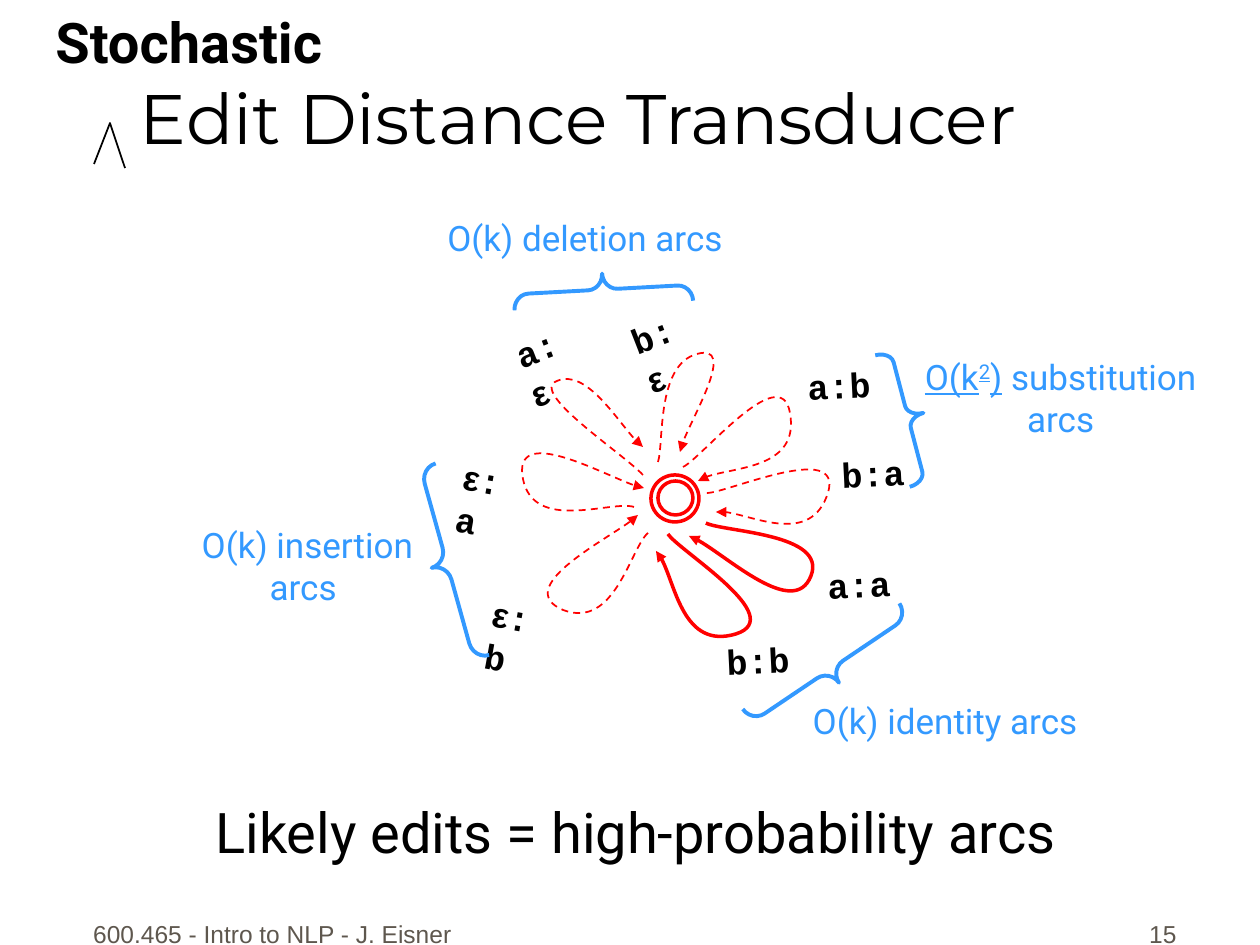
from dataclasses import dataclass

from lxml import etree
from pptx import Presentation
from pptx import util as u
from pptx.dml.color import RGBColor
from pptx.enum import dml, shapes, text
from pptx.oxml import ns

EMU_PER_PX = u.Inches(1) / 126
Point = tuple[int, int]


def px(length: float) -> u.Emu:
    return u.Emu(round(length * EMU_PER_PX))


@dataclass(frozen=True)
class Theme:
    ink: RGBColor = RGBColor(0, 0, 0)
    arc: RGBColor = RGBColor(0xFF, 0, 0)
    note: RGBColor = RGBColor(0x33, 0x99, 0xFF)
    footer: RGBColor = RGBColor(0x5E, 0x57, 0x4E)
    title_font: str = "Montserrat"
    body_font: str = "Roboto"
    code_font: str = "Courier New"
    plain_font: str = "Arial"
    title_size: u.Pt = u.Pt(40)
    large_size: u.Pt = u.Pt(32)
    label_size: u.Pt = u.Pt(20)
    footer_size: u.Pt = u.Pt(14)


@dataclass(frozen=True)
class Box:
    left: int
    top: int
    width: int
    height: int
    rotation: float = 0


@dataclass(frozen=True)
class Petal:
    """Two Bezier curves; the arrowhead is at the last point."""
    points: tuple[Point, ...]
    likely: bool = False


@dataclass(frozen=True)
class ArcLabel:
    symbols: str
    box: Box


@dataclass(frozen=True)
class Span:
    text: str
    underlined: bool = False
    raised: bool = False


@dataclass(frozen=True)
class ArcGroup:
    caption: tuple[tuple[Span, ...], ...]
    caption_box: Box
    brace_box: Box


THEME = Theme()
ALIGN = text.PP_ALIGN

PETALS = [
    Petal(((683, 467), (701, 459), (781, 359), (790, 413), (800, 469), (717, 467), (698, 481))),
    Petal(((707, 493), (727, 493), (844, 440), (828, 493), (811, 546), (738, 508), (716, 512))),
    Petal(((706, 523), (723, 532), (828, 533), (811, 576), (794, 619), (714, 544), (689, 536)), True),
    Petal(((658, 462), (664, 444), (656, 365), (697, 354), (737, 343), (683, 432), (680, 452))),
    Petal(((634, 507), (611, 500), (534, 533), (523, 479), (512, 423), (624, 486), (644, 488))),
    Petal(((668, 534), (679, 551), (789, 617), (736, 634), (683, 650), (673, 568), (656, 551)), True),
    Petal(((648, 533), (630, 549), (615, 630), (563, 610), (512, 588), (625, 530), (638, 515))),
    Petal(((643, 475), (625, 455), (528, 392), (557, 381), (586, 368), (627, 436), (643, 447))),
]
STATE_RINGS = [Box(651, 475, 48, 47), Box(658, 481, 35, 34)]
ARC_LABELS = [
    ArcLabel("a:ε", Box(502, 319, 81, 54, 338.7)),
    ArcLabel("b:ε", Box(618, 305, 81, 54, 338.7)),
    ArcLabel("ε:a", Box(451, 454, 81, 54, 10.4)),
    ArcLabel("ε:b", Box(480, 591, 81, 54, 10.4)),
    ArcLabel("a:b", Box(795, 358, 89, 54, 357)),
    ArcLabel("b:a", Box(829, 446, 89, 54, 357)),
    ArcLabel("a:a", Box(815, 557, 89, 54, 357)),
    ArcLabel("b:b", Box(714, 633, 89, 54, 357)),
]
ARC_GROUPS = [
    ArcGroup(((Span("O(k) deletion arcs "),),),
             Box(428, 210, 323, 55), Box(587, 200, 32, 179, 266.9)),
    ArcGroup(((Span("O(k) insertion"),), (Span("arcs "),)),
             Box(184, 517, 247, 97), Box(431, 464, 32, 199, 164.4)),
    ArcGroup(((Span("O(k", True), Span("2", True, True), Span(")", True),
               Span(" substitution ")), (Span("arcs "),)),
             Box(905, 349, 320, 97), Box(892, 349, 32, 136, 345.3)),
    ArcGroup(((Span("O(k) identity arcs "),),),
             Box(794, 693, 311, 55), Box(814, 575, 32, 189, 56)),
]


def set_font(font, name: str, size: u.Pt, color: RGBColor, bold: bool = False) -> None:
    font.name, font.size, font.bold = name, size, bold
    font.color.rgb = color


def add_text_frame(slide, box: Box, wrap: bool = False):
    holder = slide.shapes.add_textbox(*map(px, (box.left, box.top, box.width, box.height)))
    holder.rotation = box.rotation
    frame = holder.text_frame
    frame.word_wrap = wrap
    frame.auto_size = text.MSO_AUTO_SIZE.NONE if wrap else text.MSO_AUTO_SIZE.SHAPE_TO_FIT_TEXT
    return frame


def add_line(slide, words: str, box: Box, align, bold: bool = False) -> None:
    paragraph = add_text_frame(slide, box).paragraphs[0]
    paragraph.text, paragraph.alignment = words, align
    set_font(paragraph.font, THEME.body_font, THEME.large_size, THEME.ink, bold)


def add_footer(slide, words: str, box: Box, align) -> None:
    frame = add_text_frame(slide, box, wrap=True)
    frame.vertical_anchor = text.MSO_ANCHOR.BOTTOM
    paragraph = frame.paragraphs[0]
    paragraph.text, paragraph.alignment, paragraph.space_before = words, align, u.Pt(8.8)
    set_font(paragraph.font, THEME.plain_font, THEME.footer_size, THEME.footer)


def style_outline(shape, color: RGBColor, width: float) -> None:
    shape.shadow.inherit = False
    shape.fill.background()
    shape.line.color.rgb = color
    shape.line.width = u.Pt(width)


def add_outline(slide, points: tuple[Point, ...]):
    builder = slide.shapes.build_freeform(*points[0], scale=EMU_PER_PX)
    builder.add_line_segments(points[1:], close=False)
    return builder.convert_to_shape()


def bend_segments(shape) -> None:
    """Turn each three straight segments into one cubic Bezier curve."""
    segments = list(shape._element.iter(ns.qn("a:lnTo")))
    for first in range(0, len(segments), 3):
        curve = etree.Element(ns.qn("a:cubicBezTo"))
        segments[first].addprevious(curve)
        for segment in segments[first:first + 3]:
            curve.append(segment[0])
            segment.getparent().remove(segment)


def add_petal(slide, petal: Petal) -> None:
    arc = add_outline(slide, petal.points)
    bend_segments(arc)
    style_outline(arc, THEME.arc, 2 if petal.likely else 1)
    if not petal.likely:
        arc.line.dash_style = dml.MSO_LINE.DASH
    etree.SubElement(arc.line._get_or_add_ln(), ns.qn("a:tailEnd"), type="triangle")


def add_preset(slide, kind, box: Box, color: RGBColor, width: float):
    shape = slide.shapes.add_shape(kind, *map(px, (box.left, box.top, box.width, box.height)))
    shape.rotation = box.rotation
    style_outline(shape, color, width)
    return shape


def add_arc_label(slide, label: ArcLabel) -> None:
    paragraph = add_text_frame(slide, label.box).paragraphs[0]
    paragraph.space_before = u.Pt(12.5)
    for part in label.symbols.partition("ε"):
        if part:
            run = paragraph.add_run()
            run.text = part
            font_name = THEME.plain_font if part == "ε" else THEME.code_font
            set_font(run.font, font_name, THEME.label_size, THEME.ink, True)


def add_arc_group(slide, group: ArcGroup) -> None:
    box = group.brace_box
    brace = add_preset(slide, shapes.MSO_SHAPE.RIGHT_BRACE, box, THEME.note, 2.25)
    brace.adjustments[0] = box.height / box.width / 12
    paragraph = add_text_frame(slide, group.caption_box).paragraphs[0]
    paragraph.alignment = ALIGN.CENTER
    set_font(paragraph.font, THEME.body_font, THEME.label_size, THEME.note)
    for row, spans in enumerate(group.caption):
        if row:
            paragraph.add_line_break()
        for span in spans:
            run = paragraph.add_run()
            run.text = span.text
            if span.underlined:
                run.font.underline = True
            if span.raised:
                run._r.get_or_add_rPr().set("baseline", "30000")


def fill_title(title) -> None:
    title.left, title.top, title.width, title.height = map(px, (55, 8, 1130, 157))
    frame = title.text_frame
    frame.margin_left, frame.vertical_anchor = px(85), text.MSO_ANCHOR.BOTTOM
    paragraph = frame.paragraphs[0]
    paragraph.text, paragraph.alignment = "Edit Distance Transducer", ALIGN.LEFT
    set_font(paragraph.font, THEME.title_font, THEME.title_size, THEME.ink)


def main() -> None:
    deck = Presentation()
    deck.slide_width, deck.slide_height = u.Inches(10), u.Inches(7.5)
    slide = deck.slides.add_slide(deck.slide_layouts[5])
    fill_title(slide.shapes.title)
    add_footer(slide, "600.465 - Intro to NLP - J. Eisner", Box(73, 892, 399, 63), ALIGN.CENTER)
    add_footer(slide, "15", Box(927, 892, 262, 63), ALIGN.RIGHT)
    for petal in PETALS:
        add_petal(slide, petal)
    for ring in STATE_RINGS:
        add_preset(slide, shapes.MSO_SHAPE.OVAL, ring, THEME.arc, 2)
    for label in ARC_LABELS:
        add_arc_label(slide, label)
    for group in ARC_GROUPS:
        add_arc_group(slide, group)
    add_line(slide, "Likely edits = high-probability arcs", Box(203, 791, 920, 81), ALIGN.LEFT)
    add_line(slide, "Stochastic", Box(33, 1, 312, 81), ALIGN.CENTER, bold=True)
    caret = add_outline(slide, ((94, 164), (110, 123), (125, 168)))
    style_outline(caret, THEME.ink, 1)
    deck.save("out.pptx")


if __name__ == "__main__":
    main()
